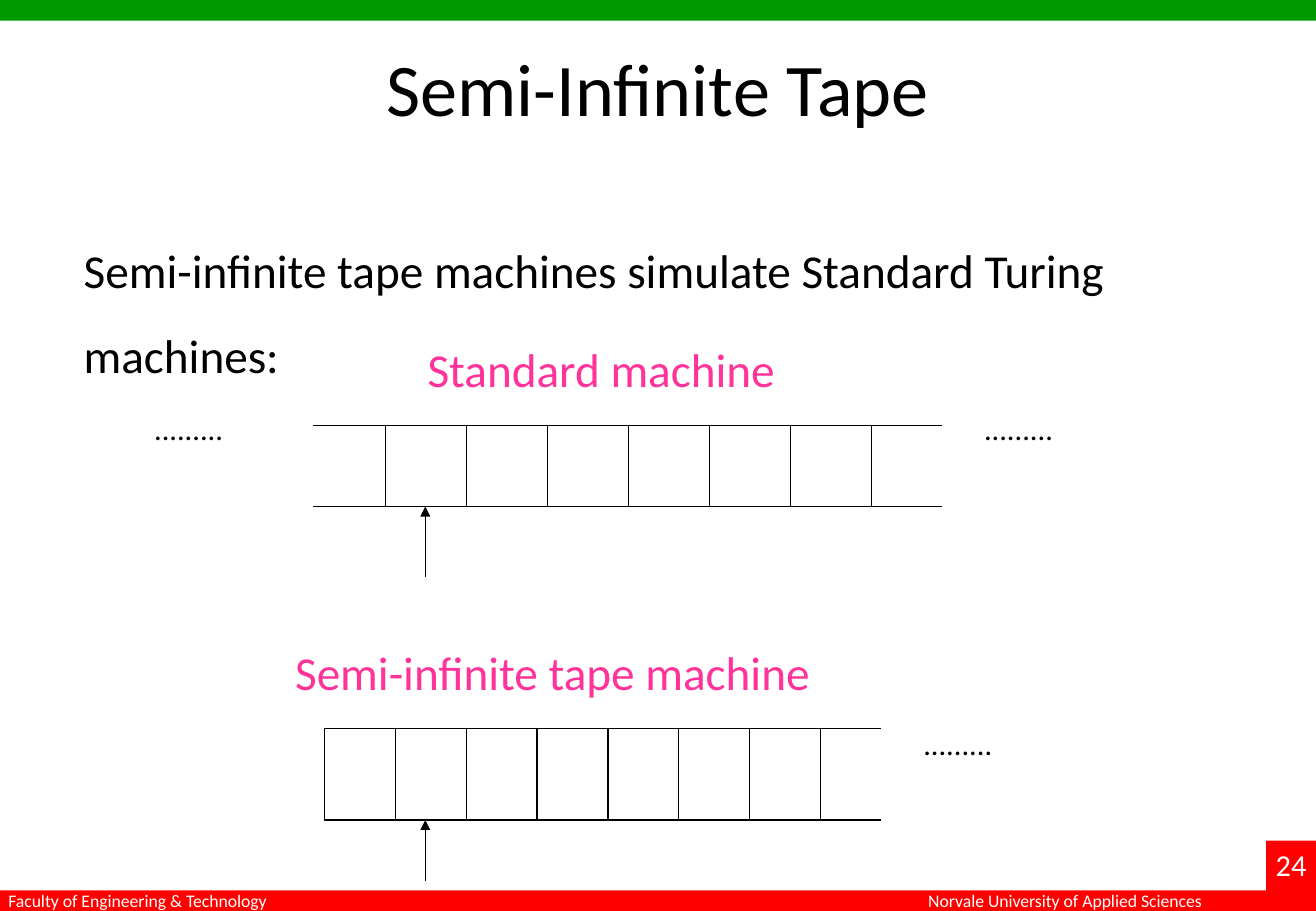
from pptx import Presentation
from pptx.dml.color import RGBColor
from pptx.enum.shapes import MSO_CONNECTOR, MSO_SHAPE
from pptx.enum.text import PP_ALIGN
from pptx.oxml.ns import qn
from pptx.util import Inches, Pt
from lxml.etree import SubElement

BLACK, WHITE, RED, GREEN, PINK = "000000", "FFFFFF", "FF0000", "009900", "FF3399"
DOTS = "........."

prs = Presentation()
prs.slide_width, prs.slide_height = Inches(10.83), Inches(7.5)
slide = prs.slides.add_slide(prs.slide_layouts[6])


def add_text(text, left, top, width, height, size, color, wrap=False, **paragraph_format):
    box = slide.shapes.add_textbox(Inches(left), Inches(top), Inches(width), Inches(height))
    box.text_frame.word_wrap = wrap
    paragraph = box.text_frame.paragraphs[0]
    for attribute, value in paragraph_format.items():
        setattr(paragraph, attribute, value)
    run = paragraph.add_run()
    run.text = text
    for attribute, value in {"name": "Calibri", "size": Pt(size)}.items():
        setattr(run.font, attribute, value)
    run.font.color.rgb = RGBColor.from_string(color)


def add_line(x1, y1, x2, y2, arrow=False):
    line = slide.shapes.add_connector(
        MSO_CONNECTOR.STRAIGHT, Inches(x1), Inches(y1), Inches(x2), Inches(y2))
    line.line.width = Pt(0.75)
    line.line.color.rgb = RGBColor.from_string(BLACK)
    if arrow:
        SubElement(line.line._get_or_add_ln(), qn("a:tailEnd"), type="triangle")
    SubElement(line._element.spPr, qn("a:effectLst"))


# Bands along the top and bottom, and the page number block
for left, top, width, height, color in [
    (0, 7.33, 10.83, 0.17, RED),
    (0, 0, 10.83, 0.17, GREEN),
    (10.42, 6.92, 0.41, 0.58, RED),
]:
    band = slide.shapes.add_shape(
        MSO_SHAPE.RECTANGLE, Inches(left), Inches(top), Inches(width), Inches(height))
    band.shadow.inherit = False
    band.fill.solid()
    band.fill.fore_color.rgb = RGBColor.from_string(color)
    band.line.fill.background()

add_text("Norvale University of Applied Sciences", 7.54, 7.28, 2.55, 0.28, 10.5, WHITE)
add_text("Faculty of Engineering & Technology", -0.03, 7.28, 2.38, 0.28, 10.5, WHITE)
add_text("24", 10.4, 6.92, 0.5, 0.4, 18, WHITE)

add_text("Semi-Infinite Tape", 0.54, 0.3, 9.75, 1.25, 44, BLACK,
         wrap=True, alignment=PP_ALIGN.CENTER)
add_text("Semi-infinite tape machines simulate Standard Turing machines:",
         0.59, 1.7, 9.08, 1.44, 28, BLACK, wrap=True, line_spacing=1.5)
add_text("Standard machine", 3.42, 2.75, 3.09, 0.57, 28, PINK)
add_text("Semi-infinite tape machine", 2.33, 5.25, 4.48, 0.57, 28, PINK)

# Tapes: edges, evenly spaced cell borders, and the head below
for left, right, top, bottom, first_border, cell_width, borders, head_bottom in [
    (2.58, 7.75, 3.5, 4.17, 3.17, 2 / 3, 7, 4.75),
    (2.67, 7.25, 6, 6.75, 2.67, 7 / 12, 8, 7.25),
]:
    for edge in (top, bottom):
        add_line(left, edge, right, edge)
    for i in range(borders):
        border = first_border + i * cell_width
        add_line(border, top, border, bottom)
    add_line(3.5, head_bottom, 3.5, bottom, arrow=True)

for left, top in [(1.17, 3.33), (8, 3.33), (7.5, 5.92)]:
    add_text(DOTS, left, top, 0.77, 0.4, 18, BLACK)

prs.save("out.pptx")
